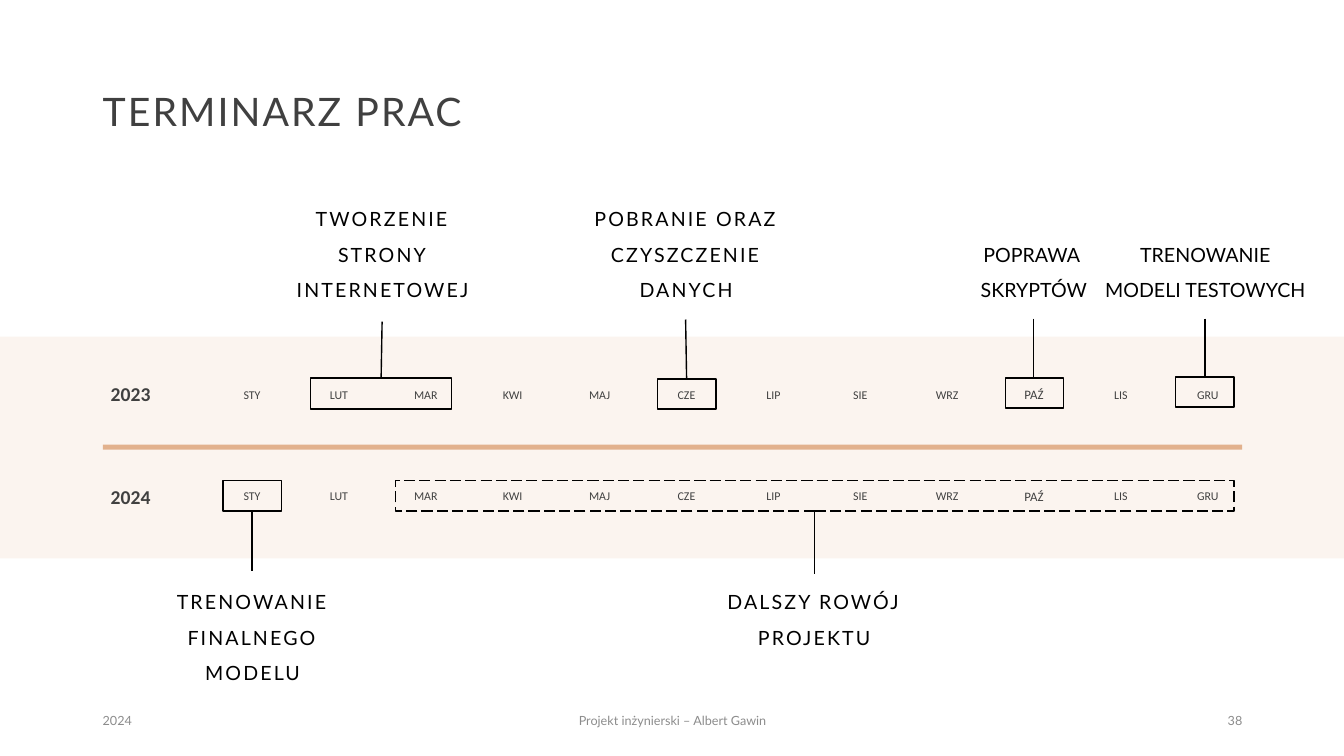
from copy import deepcopy

from pptx import Presentation
from pptx.dml.color import RGBColor
from pptx.enum.dml import MSO_LINE
from pptx.enum.shapes import MSO_CONNECTOR, MSO_SHAPE
from pptx.enum.text import MSO_ANCHOR, PP_ALIGN
from pptx.oxml.ns import qn
from pptx.util import Inches, Pt

BLACK = RGBColor(0x00, 0x00, 0x00)
DARK = RGBColor(0x40, 0x40, 0x40)
GRAY = RGBColor(0x8C, 0x8C, 0x8C)
CREAM = RGBColor(0xFB, 0xF4, 0xEF)
TAN = RGBColor(0xE2, 0xB1, 0x8D)

# Content
TITLE = "TERMINARZ PRAC"
MONTHS = ["STY", "LUT", "MAR", "KWI", "MAJ", "CZE",
          "LIP", "SIE", "WRZ", "PAŹ", "LIS", "GRU"]
YEARS = [("2023", 3.67, 3.83), ("2024", 4.69, 4.84)]  # text, year top, months top
# text, text left, letter spacing, stem from (x, y), stem to (x, y)
CALLOUTS_ABOVE = [
    ("TWORZENIE STRONY INTERNETOWEJ", 2.67, 1.5, (3.79, 3.19), (3.78, 3.75)),
    ("POBRANIE ORAZ CZYSZCZENIE DANYCH", 5.68, 1.5, (6.8, 3.17), (6.81, 3.76)),
    ("POPRAWA \vSKRYPTÓW", 9.13, 0, (10.25, 3.16), (10.25, 3.75)),
    ("TRENOWANIE MODELI TESTOWYCH", 10.83, 0, (11.95, 3.16), (11.95, 3.74)),
]
CALLOUTS_BELOW = [
    ("TRENOWANIE FINALNEGO MODELU", 1.38, 1.5, (2.5, 5.07), (2.5, 5.66)),
    ("DALSZY ROWÓJ PROJEKTU", 6.95, 1.5, (8.08, 5.07), (8.08, 5.69)),
]
# left, top, width, height, dash
MONTH_FRAMES = [
    (3.08, 3.75, 1.4, 0.31, None),
    (6.52, 3.76, 0.58, 0.3, None),
    (9.97, 3.75, 0.58, 0.3, None),
    (11.66, 3.74, 0.58, 0.3, None),
    (2.21, 4.77, 0.58, 0.3, None),
    (3.92, 4.77, 8.32, 0.3, MSO_LINE.LONG_DASH),
]
FOOTERS = [
    ("2024", 0.92, 3, PP_ALIGN.LEFT),
    ("Projekt inżynierski – Albert Gawin", 4.42, 4.5, PP_ALIGN.CENTER),
    ("38", 9.42, 3, PP_ALIGN.RIGHT),
]

# Text formats
TITLE_FONT = {"name": "Lato", "size": Pt(28)}
CALLOUT_FONT = {"name": "Lato", "size": Pt(14)}
YEAR_FONT = {"name": "Calibri", "size": Pt(14), "bold": True}
MONTH_FONT = {"name": "Calibri", "size": Pt(8.5)}
WIDE_MONTH_FONT = {"name": "Calibri", "size": Pt(9.2)}
FOOTER_FONT = {"name": "Lato", "size": Pt(9)}
CALLOUT_PARAGRAPH = {"alignment": PP_ALIGN.CENTER, "line_spacing": 1.5,
                     "space_before": Pt(10)}
YEAR_PARAGRAPH = {"line_spacing": 0.9, "space_before": Pt(10)}
MONTH_PARAGRAPH = {"alignment": PP_ALIGN.CENTER, "line_spacing": 0.7,
                   "space_before": Pt(10)}

FIRST_MONTH_LEFT = 2.15
MONTH_STEP = (11.63 - FIRST_MONTH_LEFT) / (len(MONTHS) - 1)


def apply(target, values):
    for name, value in values.items():
        setattr(target, name, value)


def add_text(slide, text, box, font, color, paragraph_format,
             anchor=MSO_ANCHOR.MIDDLE, spacing=0):
    shape = slide.shapes.add_textbox(*map(Inches, box))
    frame = shape.text_frame
    apply(frame, {"word_wrap": True, "vertical_anchor": anchor, "text": text})
    paragraph = frame.paragraphs[0]
    apply(paragraph, paragraph_format)
    for run in paragraph.runs:
        apply(run.font, font)
        run.font.color.rgb = color
        if spacing:
            run.font._element.set("spc", str(int(spacing * 100)))
    # A line break takes the size of the text around it
    for line_break in paragraph._p.findall(qn("a:br")):
        line_break.append(deepcopy(paragraph.runs[0].font._element))


def add_rectangle(slide, box, fill=None, dash=None):
    shape = slide.shapes.add_shape(MSO_SHAPE.RECTANGLE, *map(Inches, box))
    shape.shadow.inherit = False
    if fill is not None:
        shape.fill.solid()
        shape.fill.fore_color.rgb = fill
        shape.line.fill.background()
    else:
        shape.fill.background()
        shape.line.color.rgb = BLACK
        apply(shape.line, {"width": Pt(1), "dash_style": dash})


def add_stem(slide, start, end):
    stem = slide.shapes.add_connector(
        MSO_CONNECTOR.STRAIGHT, *map(Inches, start + end))
    stem.line.color.rgb = BLACK
    stem.line.width = Pt(1)
    properties = stem._element.spPr
    properties.append(properties.makeelement(qn("a:effectLst"), {}))


def main():
    presentation = Presentation()
    presentation.slide_width = Inches(13.33)
    presentation.slide_height = Inches(7.5)
    slide = presentation.slides.add_slide(presentation.slide_layouts[6])

    # Band, dividing bar and title
    add_rectangle(slide, (0, 3.34, 13.33, 2.2), CREAM)
    add_rectangle(slide, (1.02, 4.41, 11.3, 0.05), TAN)
    add_text(slide, TITLE, (0.92, 0.4, 11.5, 1.45), TITLE_FONT, DARK,
             {"line_spacing": 0.9}, spacing=1.5)

    # Years and months
    for year, year_top, month_top in YEARS:
        add_text(slide, year, (1, year_top, 0.8, 0.5), YEAR_FONT, DARK, YEAR_PARAGRAPH)
        for index, month in enumerate(MONTHS):
            left = FIRST_MONTH_LEFT + index * MONTH_STEP
            font = WIDE_MONTH_FONT if month == "PAŹ" else MONTH_FONT
            add_text(slide, month, (left, month_top, 0.7, 0.22), font, DARK,
                     MONTH_PARAGRAPH, MSO_ANCHOR.TOP)

    # Callouts with their stems
    for callouts, top, anchor in ((CALLOUTS_ABOVE, 2.43, MSO_ANCHOR.BOTTOM),
                                  (CALLOUTS_BELOW, 5.69, MSO_ANCHOR.TOP)):
        for text, left, spacing, start, end in callouts:
            add_text(slide, text, (left, top, 2.25, 0.61), CALLOUT_FONT, BLACK,
                     CALLOUT_PARAGRAPH, anchor, spacing)
            add_stem(slide, start, end)

    # Frames around the months
    for *box, dash in MONTH_FRAMES:
        add_rectangle(slide, box, dash=dash)

    # Footer
    for text, left, width, alignment in FOOTERS:
        add_text(slide, text, (left, 6.95, width, 0.4), FOOTER_FONT, GRAY,
                 {"alignment": alignment})

    presentation.save("out.pptx")


if __name__ == "__main__":
    main()
